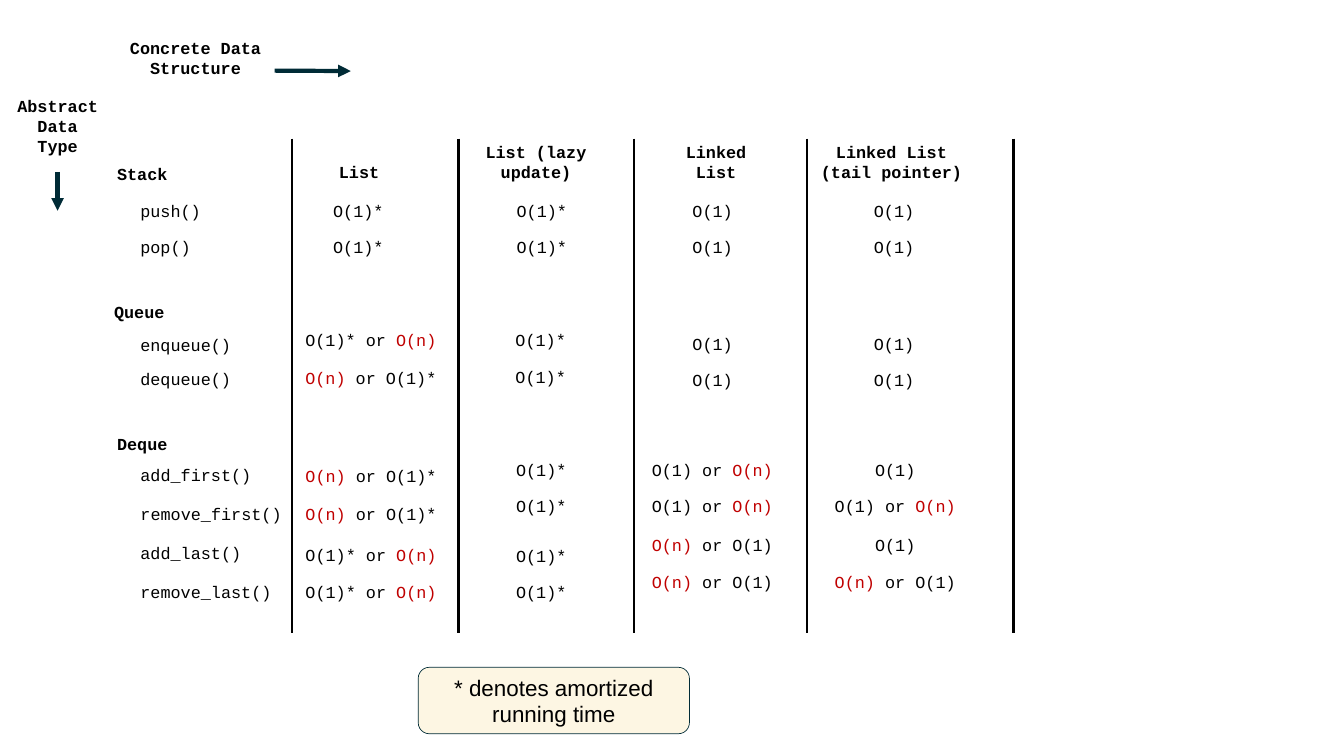
from lxml import etree
from pptx import Presentation
from pptx.dml.color import RGBColor
from pptx.enum.shapes import MSO_CONNECTOR, MSO_SHAPE
from pptx.enum.text import MSO_ANCHOR, MSO_AUTO_SIZE, PP_ALIGN
from pptx.oxml.ns import qn
from pptx.util import Cm, Pt

STRAIGHT = MSO_CONNECTOR.STRAIGHT
ROUNDED = MSO_SHAPE.ROUNDED_RECTANGLE
CENTER = PP_ALIGN.CENTER
MIDDLE = MSO_ANCHOR.MIDDLE
FIT_SHAPE = MSO_AUTO_SIZE.SHAPE_TO_FIT_TEXT

COLORS = {"text": "000000", "slow": "C00000", "accent": "002B36", "note": "FDF6E3"}
CODE_FONT = "Courier New"
SLOW = "O(n)"
INSET = 0.15
CHARACTER_WIDTH = 0.51
WIDTH_SLACK = 0.05
LINE_HEIGHT = 1.02
METHOD_LEFT = 6.89
RULE_TOP, RULE_BOTTOM = 6.99, 31.9
RULE_LEFTS = (14.71, 23.11, 31.95, 40.67, 51.08)

# text, left, top, width, line count
WRAPPED_LABELS = (
    ("List (lazy update)", 23.65, 6.99, 6.73, 2),
    ("Linked List", 33.45, 6.99, 5.28, 2),
    ("Linked List (tail pointer)", 40.74, 6.99, 8.38, 2),
    ("Abstract Data Type", 0.53, 4.65, 4.75, 3),
    ("Concrete Data Structure", 5.84, 1.75, 8.03, 2),
)

# name, left and top of the heading; methods with their tops;
# then for each data structure the column centre and its costs with their tops
DATA_TYPES = (
    ("Stack", 5.72, 8.08,
     (("push()", 9.96), ("pop()", 11.79)),
     ((18.06, (("O(1)*", 9.96), ("O(1)*", 11.79))),
      (27.31, (("O(1)*", 9.96), ("O(1)*", 11.79))),
      (35.92, (("O(1)", 9.96), ("O(1)", 11.79))),
      (45.06, (("O(1)", 9.96), ("O(1)", 11.79))))),
    ("Queue", 5.57, 15.06,
     (("enqueue()", 16.7), ("dequeue()", 18.44)),
     ((18.69, (("O(1)* or O(n)", 16.48), ("O(n) or O(1)*", 18.39))),
      (27.25, (("O(1)*", 16.48), ("O(1)*", 18.31))),
      (35.92, (("O(1)", 16.69), ("O(1)", 18.49))),
      (45.06, (("O(1)", 16.69), ("O(1)", 18.49))))),
    ("Deque", 5.72, 21.72,
     (("add_first()", 23.29), ("remove_first()", 25.25),
      ("add_last()", 27.2), ("remove_last()", 29.18)),
     ((18.7, (("O(n) or O(1)*", 23.34), ("O(n) or O(1)*", 25.25),
              ("O(1)* or O(n)", 27.28), ("O(1)* or O(n)", 29.18))),
      (27.28, (("O(1)*", 23.01), ("O(1)*", 24.82),
               ("O(1)*", 27.33), ("O(1)*", 29.16))),
      (35.9, (("O(1) or O(n)", 23.01), ("O(1) or O(n)", 24.82),
              ("O(n) or O(1)", 26.82), ("O(n) or O(1)", 28.65))),
      (45.12, (("O(1)", 23.01), ("O(1) or O(n)", 24.82),
               ("O(1)", 26.82), ("O(n) or O(1)", 28.65))))),
)


def color(name):
    return RGBColor.from_string(COLORS[name])


def write_text(shape, text, wrap, font=CODE_FONT, size=24, bold=False):
    """Centre the text in the shape, with every slow cost in its own colour."""
    frame = shape.text_frame
    frame_format = {
        "word_wrap": wrap,
        "auto_size": FIT_SHAPE,
        "vertical_anchor": MIDDLE,
        "margin_left": Cm(INSET),
        "margin_right": Cm(INSET),
        "margin_top": Cm(INSET),
        "margin_bottom": Cm(INSET),
    }
    for name, value in frame_format.items():
        setattr(frame, name, value)
    paragraph = frame.paragraphs[0]
    paragraph.alignment = CENTER
    for part in filter(None, text.partition(SLOW)):
        run = paragraph.add_run()
        run.text = part
        for name, value in {"name": font, "size": Pt(size), "bold": bold}.items():
            setattr(run.font, name, value)
        run.font.color.rgb = color("slow" if part == SLOW else "text")


def text_width(text):
    """Width of a box that holds the text on one line with a little to spare."""
    return 2 * INSET + CHARACTER_WIDTH * len(text) + WIDTH_SLACK


def add_label(slide, text, left, top, width=None, lines=1, bold=False):
    """Add a code label; without a width it is as wide as its one line."""
    box = slide.shapes.add_textbox(
        Cm(left), Cm(top), Cm(width or text_width(text)),
        Cm(2 * INSET + LINE_HEIGHT * lines))
    write_text(box, text, wrap=width is not None, bold=bold)


def add_line(slide, start, end, color_name, width, arrow=False):
    line = slide.shapes.add_connector(STRAIGHT, *map(Cm, start + end))
    line.line.color.rgb = color(color_name)
    line.line.width = Pt(width)
    properties = line._element.spPr
    if arrow:
        etree.SubElement(properties.find(qn("a:ln")), qn("a:tailEnd"), type="triangle")
    etree.SubElement(properties, qn("a:effectLst"))


def add_note(slide, text):
    note = slide.shapes.add_shape(ROUNDED, Cm(21.08), Cm(33.63), Cm(13.67), Cm(3.35))
    note.shadow.inherit = False
    note.fill.solid()
    note.fill.fore_color.rgb = color("note")
    note.line.color.rgb = color("accent")
    note.line.width = Pt(1)
    write_text(note, text, wrap=True, font="Arial", size=32)


def add_data_type(slide, name, left, top, methods, columns):
    add_label(slide, name, left, top, bold=True)
    for method, method_top in methods:
        add_label(slide, method, METHOD_LEFT, method_top)
    for center, costs in columns:
        for cost, cost_top in costs:
            add_label(slide, cost, center - text_width(cost) / 2, cost_top)


def main():
    presentation = Presentation()
    presentation.slide_width = Cm(67.74)
    presentation.slide_height = Cm(38.1)
    slide = presentation.slides.add_slide(presentation.slide_layouts[6])

    for left in RULE_LEFTS:
        add_line(slide, (left, RULE_TOP), (left, RULE_BOTTOM), "text", 3)
    add_label(slide, "List", 16.9, 8.02, bold=True)
    for label in WRAPPED_LABELS:
        add_label(slide, *label, bold=True)
    for data_type in DATA_TYPES:
        add_data_type(slide, *data_type)
    add_line(slide, (2.9, 8.66), (2.9, 10.62), "accent", 6, arrow=True)
    add_line(slide, (13.84, 3.56), (17.68, 3.58), "accent", 6, arrow=True)
    add_note(slide, "* denotes amortized running time")

    presentation.save("out.pptx")


if __name__ == "__main__":
    main()
